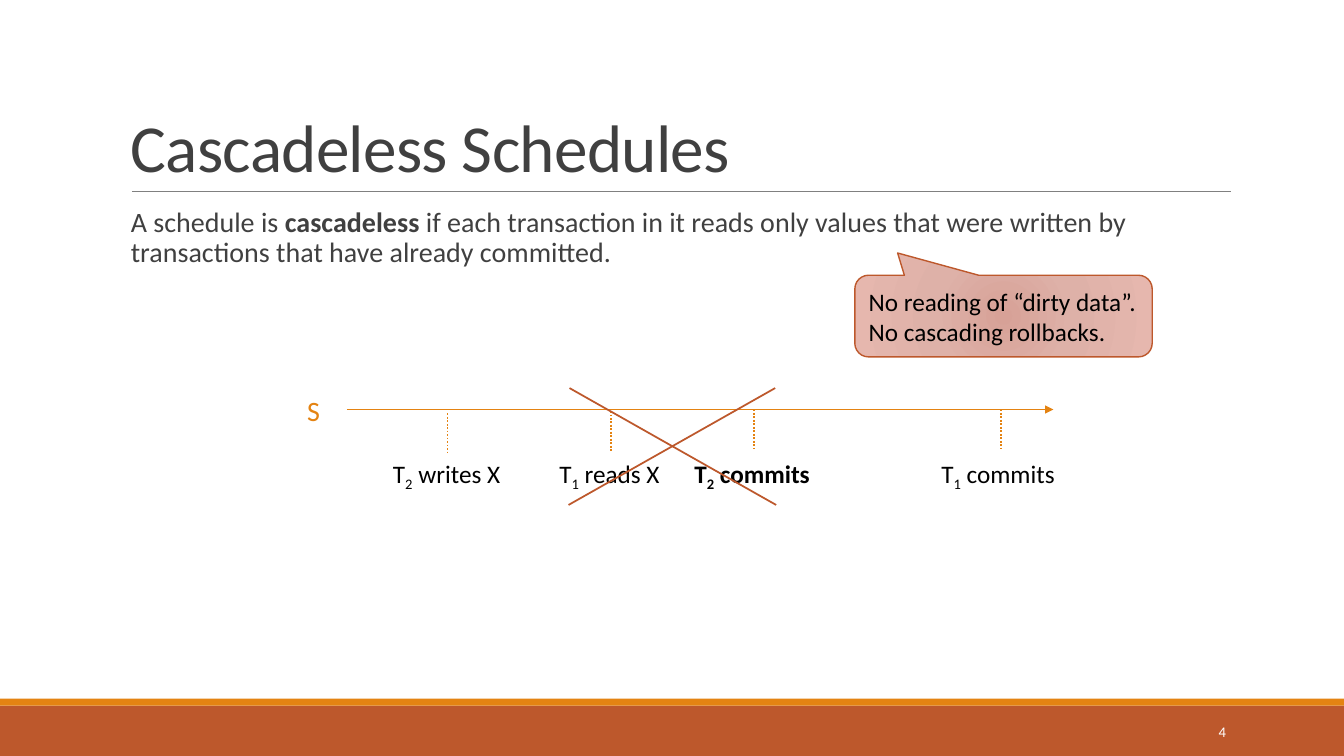
from lxml.etree import SubElement
from pptx import Presentation
from pptx.dml.color import RGBColor
from pptx.enum.dml import MSO_LINE_DASH_STYLE as Dash
from pptx.enum.shapes import MSO_CONNECTOR as Connector, MSO_SHAPE as Shape
from pptx.enum.text import MSO_ANCHOR as Anchor, MSO_AUTO_SIZE as AutoSize, PP_ALIGN as Align
from pptx.oxml import parse_xml
from pptx.oxml.ns import nsdecls, qn
from pptx.util import Pt

COLORS = {"orange": "E48312", "rust": "BD582C", "rule": "808080",
          "heading": "404040", "ink": "000000", "white": "FFFFFF"}
CALLOUT_STOPS = [(0, "D7A197"), (45, "DEB1A8"), (100, "E6B7AE")]
CALLOUT_ADJUSTMENTS = [-0.356, -0.773, 0.167]

TITLE = "Cascadeless Schedules"
DEFINITION = [("A schedule is ", {}), ("cascadeless", {"bold": True}),
              (" if each transaction in it reads only values that were written by "
               "transactions that have already committed.", {})]
REMARKS = ["No reading of “dirty data”.", "No cascading rollbacks."]
PAGE_NUMBER = "4"
SCHEDULE = "S"
EVENTS = [
    {"transaction": "2", "action": " writes X", "tick": (319.7, 295.2), "left": 273.6, "width": 92.9},
    {"transaction": "1", "action": " reads X", "tick": (436.3, 293.6), "left": 392.4, "width": 87.8},
    {"transaction": "2", "action": " commits", "tick": (538.6, 292.5), "left": 488.9, "width": 100.1,
     "bold": True},
    {"transaction": "1", "action": " commits", "tick": (715, 292.5), "left": 665.3, "width": 100.1},
]
TICK_LENGTH = 28.5
LABEL_TOP, LABEL_HEIGHT = 323.5, 29
TIMELINE = (247.7, 292.5, 752.4, 292.5)
CROSS = [(406.1, 360.7, 553.7, 277.2), (554.4, 360.7, 406.8, 277.2)]
FOOTER_BANDS = [("rust", 504, 36), ("orange", 499, 5)]

deck = Presentation()
deck.slide_width, deck.slide_height = Pt(960), Pt(540)
slide = deck.slides.add_slide(deck.slide_layouts[6])


def rgb(color):
    """Return the named colour."""
    return RGBColor.from_string(COLORS[color])


def write(paragraph, runs, size, color):
    """Add runs, each with its own font settings and run attributes."""
    for wording, changes in runs:
        run = paragraph.add_run()
        run.text = wording
        run.font.color.rgb = rgb(color)
        settings = {"name": "Calibri", "size": Pt(size), **changes}
        for key, value in settings.items():
            if key in ("baseline", "spc"):
                run._r.get_or_add_rPr().set(key, value)
            else:
                setattr(run.font, key, value)


def text(box, runs, size, color, spacing=None, align=Align.LEFT, **frame_settings):
    """Place one paragraph of text in a box."""
    frame = slide.shapes.add_textbox(*map(Pt, box)).text_frame
    for key, value in {"word_wrap": True, **frame_settings}.items():
        setattr(frame, key, value)
    paragraph = frame.paragraphs[0]
    paragraph.alignment, paragraph.line_spacing = align, spacing
    write(paragraph, runs, size, color)


def line(ends, color, width=1.25, dash=None, arrow=False):
    """Draw a straight line between two points."""
    stroke = slide.shapes.add_connector(Connector.STRAIGHT, *map(Pt, ends))
    stroke.line.color.rgb = rgb(color)
    stroke.line.width = Pt(width)
    if dash:
        stroke.line.dash_style = dash
    properties = stroke._element.spPr
    if arrow:
        SubElement(properties.find(qn("a:ln")), qn("a:tailEnd"), type="triangle")
    SubElement(properties, qn("a:effectLst"))


def preset(kind, box):
    """Add a preset shape without a shadow."""
    shape = slide.shapes.add_shape(kind, *map(Pt, box))
    shape.shadow.inherit = False
    return shape


for color, top, height in FOOTER_BANDS:
    band = preset(Shape.RECTANGLE, (0, top, 960, height))
    band.fill.solid()
    band.fill.fore_color.rgb = rgb(color)
    band.line.fill.background()

line((94.3, 136.8, 879.1, 136.8), "rule", 0.5)
text((86.4, 22.3, 792, 114.5), [(TITLE, {"spc": "-50"})], 48, "heading", 0.85,
     vertical_anchor=Anchor.BOTTOM)
text((86.4, 145.4, 792, 316.8), DEFINITION, 20, "heading", 0.9, margin_right=0)
text((779.8, 508.3, 103, 28.8), [(PAGE_NUMBER, {})], 10.5, "white", align=Align.RIGHT,
     vertical_anchor=Anchor.MIDDLE)

hug = {"word_wrap": False, "auto_size": AutoSize.SHAPE_TO_FIT_TEXT}
line(TIMELINE, "orange", arrow=True)
text((212.4, 277.2, 23.8, 31.5), [(SCHEDULE, {})], 20, "orange", **hug)
for event in EVENTS:
    x, y = event["tick"]
    line((x, y, x, y + TICK_LENGTH), "orange", dash=Dash.ROUND_DOT)
    weight = {"bold": event.get("bold", False)}
    label = [("T", weight), (event["transaction"], {**weight, "baseline": "-25000"}),
             (event["action"], weight)]
    text((event["left"], LABEL_TOP, event["width"], LABEL_HEIGHT), label, 18, "ink", **hug)
for stroke_ends in CROSS:
    line(stroke_ends, "rust")

callout = preset(Shape.ROUNDED_RECTANGULAR_CALLOUT, (610.6, 196.6, 212.4, 58.3))
for index, adjustment in enumerate(CALLOUT_ADJUSTMENTS):
    callout.adjustments[index] = adjustment
stops = "".join(f'<a:gs pos="{position * 1000}"><a:srgbClr val="{shade}"/></a:gs>'
                for position, shade in CALLOUT_STOPS)
gradient = parse_xml(
    f'<a:gradFill {nsdecls("a")} rotWithShape="1"><a:gsLst>{stops}</a:gsLst><a:path path="circle">'
    '<a:fillToRect l="100000" t="100000" r="100000" b="100000"/></a:path></a:gradFill>')
callout._element.spPr.find(qn("a:prstGeom")).addnext(gradient)
callout.line.color.rgb = rgb("rust")
callout.line.width = Pt(1)
remarks = callout.text_frame
remarks.vertical_anchor = Anchor.MIDDLE
for index, remark in enumerate(REMARKS):
    paragraph = remarks.add_paragraph() if index else remarks.paragraphs[0]
    paragraph.alignment = Align.LEFT
    write(paragraph, [(remark, {})], 18, "ink")

deck.save("out.pptx")
